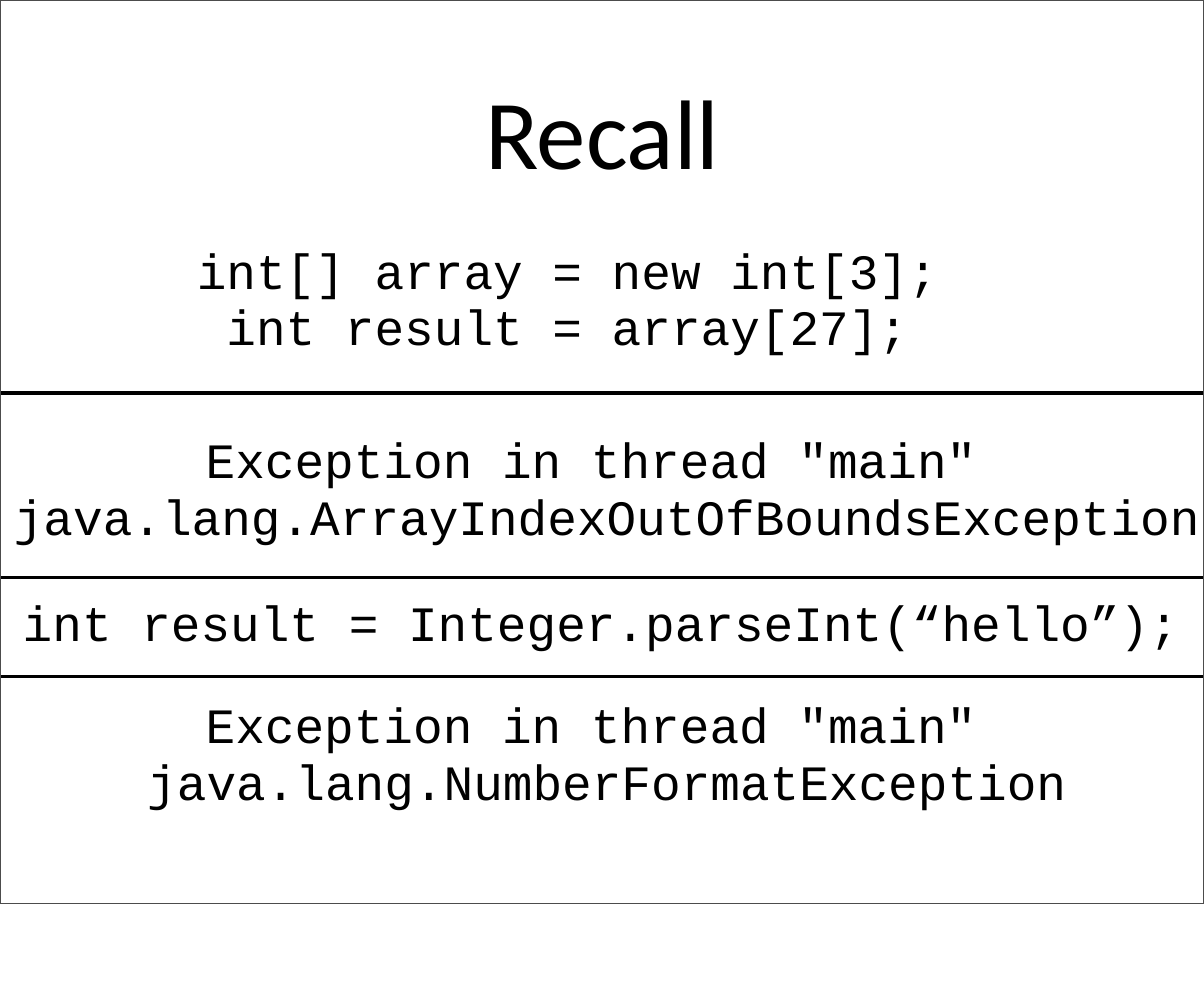
from lxml.etree import SubElement
from pptx import Presentation
from pptx.dml.color import RGBColor
from pptx.enum.shapes import MSO_CONNECTOR, MSO_SHAPE
from pptx.enum.text import MSO_ANCHOR, PP_ALIGN
from pptx.oxml.ns import qn
from pptx.util import Inches, Pt

BLACK = RGBColor(0x00, 0x00, 0x00)
GREY = RGBColor(0x4C, 0x4C, 0x4C)
WIDTH = 14.22
FRAME_HEIGHT = 10.67

CODE_LINES = [
    ("int[] array = new int[3];", 0.93, 4.6),
    ("int result = array[27];", 0.93, 0),
    ('Exception in thread "main"', 0.37, 65),
    ("java.lang.ArrayIndexOutOfBoundsException", 0, 0),
    ("int result = Integer.parseInt(\u201chello\u201d);", 0.14, 42),
    ('Exception in thread "main"', 0.37, 39.2),
    ("java.lang.NumberFormatException", 0, 0),
]


def set_frame(box, left, top, width, height, top_inset):
    places = {"left": left, "top": top, "width": width, "height": height}
    for name, value in places.items():
        setattr(box, name, Inches(value))
    insets = {"margin_left": 0, "margin_top": Inches(top_inset),
              "margin_right": 0, "margin_bottom": 0,
              "word_wrap": True, "vertical_anchor": MSO_ANCHOR.TOP}
    for name, value in insets.items():
        setattr(box.text_frame, name, value)


def add_span(para, text, font_name, size):
    span = para.add_run()
    span.text = text
    for name, value in {"name": font_name, "size": Pt(size)}.items():
        setattr(span.font, name, value)
    span.font.color.rgb = BLACK


deck = Presentation()
deck.slide_width = Inches(WIDTH)
deck.slide_height = Inches(11.75)
page = deck.slides.add_slide(deck.slide_layouts[5])

title = page.shapes.title
set_frame(title, 5.71, 0.83, 2.81, 1.43, 0.01)
title_para = title.text_frame.paragraphs[0]
title_para.alignment = PP_ALIGN.CENTER
title_para.space_before = Pt(1)
add_span(title_para, "Recall", "Calibri", 84)

for rule_top in (4.64, 6.82, 7.99):
    rule = page.shapes.add_connector(
        MSO_CONNECTOR.STRAIGHT, 0, Inches(rule_top), Inches(WIDTH), Inches(rule_top))
    rule.line.color.rgb = BLACK
    rule.line.width = Pt(3)
    SubElement(rule._element.spPr, qn("a:effectLst"))

code_box = page.shapes.add_textbox(0, 0, 0, 0)
set_frame(code_box, 0.1, 2.81, 14.13, 6.86, 0.06)
code_frame = code_box.text_frame
for index, (text, right_indent, gap) in enumerate(CODE_LINES):
    para = code_frame.add_paragraph() if index else code_frame.paragraphs[0]
    layout = {"alignment": PP_ALIGN.CENTER, "line_spacing": Pt(48), "space_before": Pt(gap)}
    for name, value in layout.items():
        setattr(para, name, value)
    para._p.get_or_add_pPr().set("marR", str(Inches(right_indent)))
    add_span(para, text, "Courier New", 42)

border = page.shapes.add_shape(
    MSO_SHAPE.RECTANGLE, 0, 0, Inches(WIDTH), Inches(FRAME_HEIGHT))
border.shadow.inherit = False
border.fill.background()
border.line.color.rgb = GREY
border.line.width = Pt(1)

deck.save("out.pptx")
